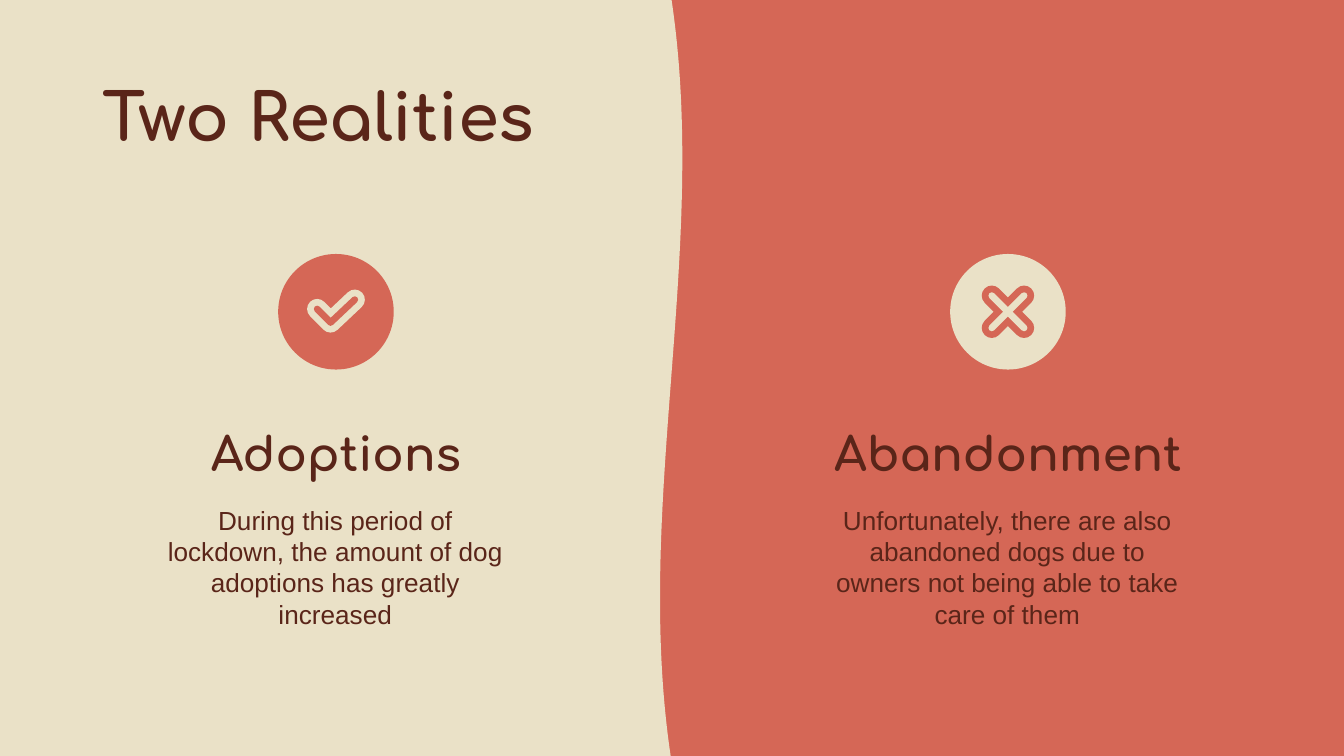
from dataclasses import dataclass

from lxml import etree
from pptx import Presentation
from pptx.dml.color import RGBColor
from pptx.enum import shapes, text
from pptx.oxml import ns
from pptx.util import Inches, Pt

SAND = RGBColor(0xEA, 0xE1, 0xC7)
CORAL = RGBColor(0xD5, 0x67, 0x56)
BROWN = RGBColor(0x5A, 0x25, 0x19)
HEAD_FONT, BODY_FONT = "Comfortaa", "Arial"

Stroke = list[tuple[float, float]]

# Icon strokes, in inches from the centre of the badge
CHECK: list[Stroke] = [[(-0.14, -0.02), (-0.04, 0.08), (0.14, -0.09)]]
CROSS: list[Stroke] = [[(-0.12, -0.12), (0.12, 0.12)],
                       [(-0.12, 0.12), (0.12, -0.12)]]


@dataclass
class Reality:
    center: float
    heading: str
    body: str
    strokes: list[Stroke]
    badge: RGBColor
    outline: RGBColor
    heading_idx: int
    body_idx: int


REALITIES = [
    Reality(2.5, "Adoptions",
            "During this period of lockdown, the amount of dog adoptions "
            "has greatly increased", CHECK, CORAL, SAND, 1, 2),
    Reality(7.5, "Abandonment",
            "Unfortunately, there are also abandoned dogs due to owners "
            "not being able to take care of them", CROSS, SAND, CORAL, 3, 4),
]
BADGE_Y, BADGE_SIZE = 2.32, 0.86


def add_filled(slide, kind, x: float, y: float, w: float, h: float,
               color: RGBColor):
    sp = slide.shapes.add_shape(kind, Inches(x), Inches(y), Inches(w), Inches(h))
    sp.shadow.inherit = False
    sp.fill.solid()
    sp.fill.fore_color.rgb = color
    sp.line.fill.background()
    return sp


def fill_placeholder(sp, box: tuple, content: str, font: str, size: int,
                     align, anchor, bold: bool = False) -> None:
    sp.left, sp.top, sp.width, sp.height = (Inches(v) for v in box)
    tf = sp.text_frame
    tf.text = content
    tf.word_wrap = True
    tf.auto_size = text.MSO_AUTO_SIZE.NONE
    tf.vertical_anchor = anchor
    tf.margin_left = tf.margin_right = Inches(0.1)
    tf.margin_top = tf.margin_bottom = Inches(0.1)
    p = tf.paragraphs[0]
    p.alignment = align
    p.space_before = Pt(0)
    pPr = p._p.get_or_add_pPr()
    pPr.set("marL", "0")
    pPr.set("indent", "0")
    etree.SubElement(pPr, ns.qn("a:buNone"))
    f = p.runs[0].font
    f.name, f.size, f.bold = font, Pt(size), bold
    f.color.rgb = BROWN


def add_strokes(slide, center: float, strokes: list[Stroke], width: float,
                color: RGBColor) -> None:
    lines = [[(Inches(center + x), Inches(BADGE_Y + y)) for x, y in stroke]
             for stroke in strokes]
    builder = slide.shapes.build_freeform(*lines[0][0])
    for i, line in enumerate(lines):
        if i:
            builder.move_to(*line[0])
        builder.add_line_segments(line[1:], close=False)
    sp = builder.convert_to_shape()
    sp.shadow.inherit = False
    sp.fill.background()
    sp.line.color.rgb = color
    sp.line.width = Pt(width)
    ln = sp.line._get_or_add_ln()
    ln.set("cap", "rnd")
    etree.SubElement(ln, ns.qn("a:round"))


def add_reality(slide, item: Reality) -> None:
    center, middle = text.PP_ALIGN.CENTER, text.MSO_ANCHOR.MIDDLE
    fill_placeholder(slide.placeholders[item.heading_idx],
                     (item.center - 1.72, 3.21, 3.44, 0.32), item.heading,
                     HEAD_FONT, 25, center, middle, bold=True)
    body = slide.placeholders[item.body_idx]
    fill_placeholder(body, (item.center - 1.43, 3.65, 2.85, 1.35), item.body,
                     BODY_FONT, 14, center, text.MSO_ANCHOR.TOP)
    body.text_frame.paragraphs[0].space_after = Pt(16)

    # Round badge with an outlined mark
    add_filled(slide, shapes.MSO_SHAPE.OVAL, item.center - BADGE_SIZE / 2,
               BADGE_Y - BADGE_SIZE / 2, BADGE_SIZE, BADGE_SIZE, item.badge)
    add_strokes(slide, item.center, item.strokes, 10.8, item.outline)
    add_strokes(slide, item.center, item.strokes, 3.6, item.badge)


def main() -> None:
    # Widescreen 16:9 slide
    prs = Presentation()
    prs.slide_width = Inches(10)
    prs.slide_height = prs.slide_width * 9 // 16
    s = prs.slides.add_slide(prs.slide_layouts.get_by_name("Comparison"))

    # Two-colour backdrop with a wavy divide
    s.background.fill.solid()
    s.background.fill.fore_color.rgb = SAND
    panel = add_filled(s, shapes.MSO_SHAPE.RECTANGLE, 4.88, 0, 5.12, 5.62, CORAL)
    panel.height = prs.slide_height
    wave = add_filled(s, shapes.MSO_SHAPE.WAVE, 1.9, 2.47, 5.67, 0.69, SAND)
    wave.rotation = 90
    wave.adjustments[0] = 0.125

    # Bring the placeholders in front of the backdrop
    for ph in list(s.placeholders):
        ph.element.getparent().append(ph.element)

    # Title and the two columns
    fill_placeholder(s.shapes.title, (0.66, 0.47, 8.69, 0.63), "Two Realities",
                     HEAD_FONT, 35, text.PP_ALIGN.LEFT, text.MSO_ANCHOR.TOP,
                     bold=True)
    for item in REALITIES:
        add_reality(s, item)

    prs.save("out.pptx")


if __name__ == "__main__":
    main()
